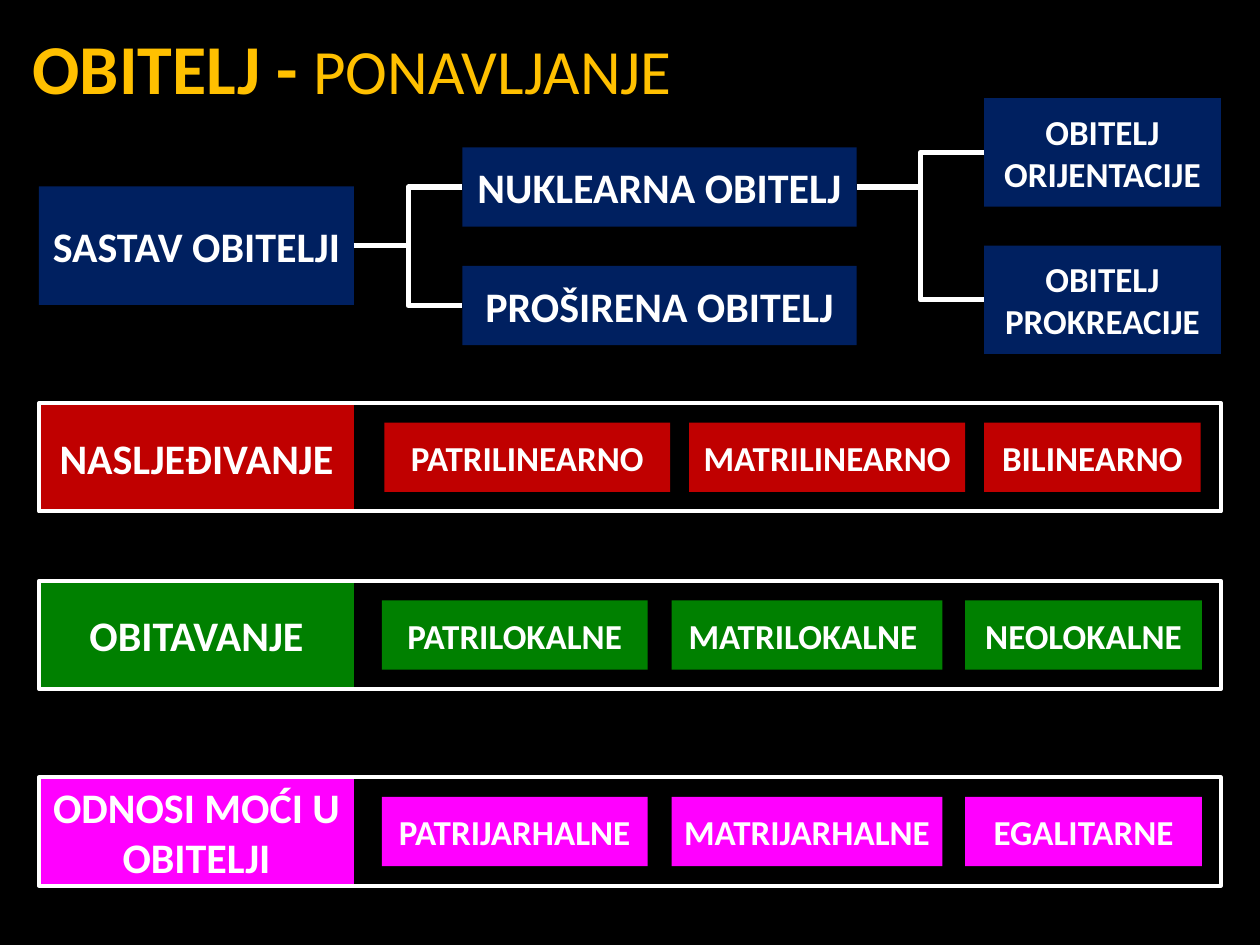
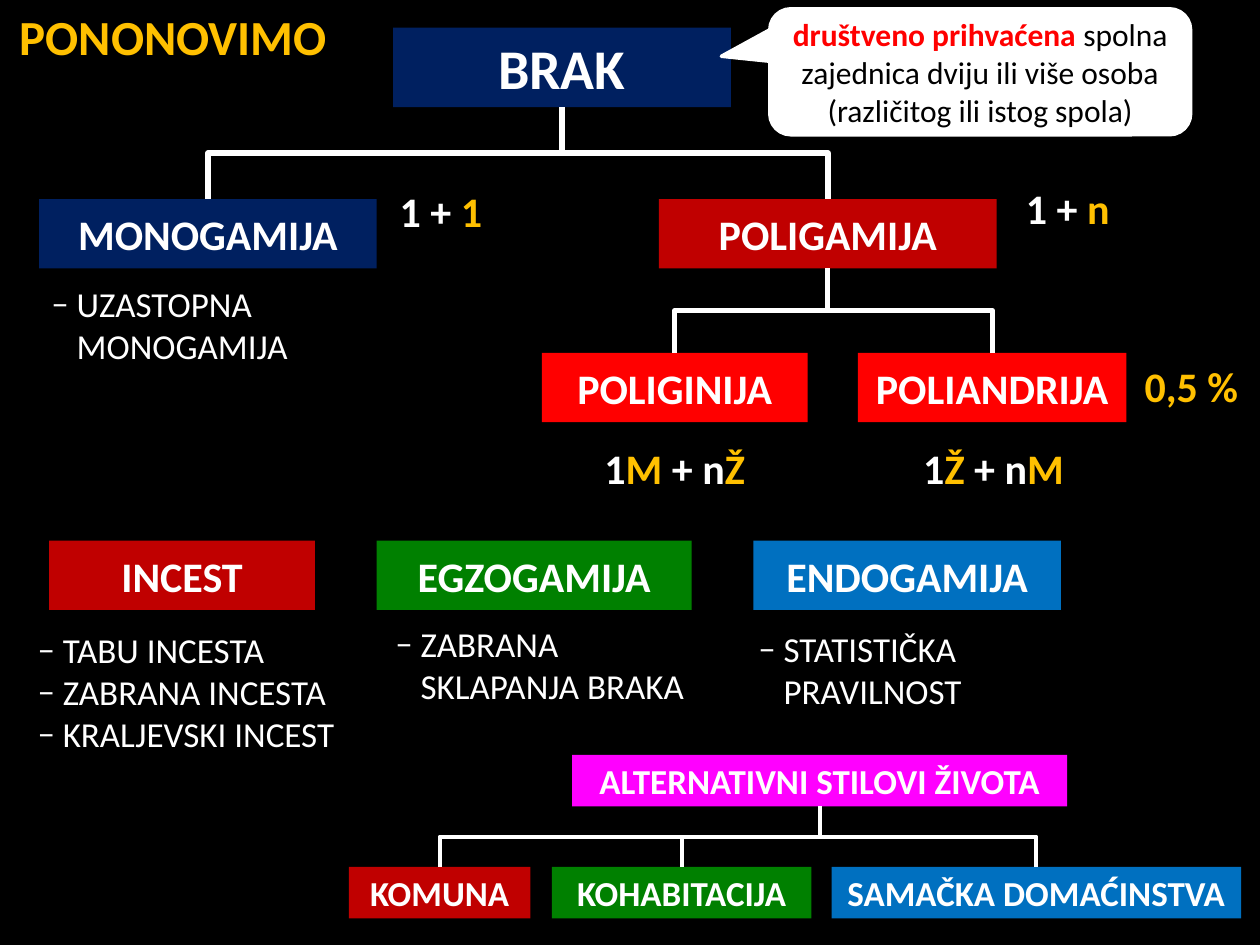
from dataclasses import dataclass

from lxml import etree
from pptx import Presentation
from pptx.dml.color import RGBColor
from pptx.enum.shapes import MSO_CONNECTOR, MSO_SHAPE
from pptx.enum.text import MSO_ANCHOR, MSO_AUTO_SIZE, PP_ALIGN
from pptx.oxml.ns import qn
from pptx.util import Inches, Pt

RECT = MSO_SHAPE.RECTANGLE
BUBBLE = MSO_SHAPE.ROUNDED_RECTANGULAR_CALLOUT
ELBOW = MSO_CONNECTOR.ELBOW
LEFT, CENTER = PP_ALIGN.LEFT, PP_ALIGN.CENTER
MIDDLE = MSO_ANCHOR.MIDDLE
GROW, FIXED = MSO_AUTO_SIZE.SHAPE_TO_FIT_TEXT, MSO_AUTO_SIZE.NONE
TOP_SITE, LEFT_SITE, BOTTOM_SITE, RIGHT_SITE = range(4)


@dataclass(frozen=True)
class Theme:
    font: str = "Calibri"
    black: str = "000000"
    white: str = "FFFFFF"
    gold: str = "FFC000"
    navy: str = "002060"
    blue: str = "0070C0"
    crimson: str = "C00000"
    red: str = "FF0000"
    green: str = "008000"
    pink: str = "FF00FF"
    title: int = 40
    sub: int = 36
    root: int = 32
    short: int = 28
    head: int = 24
    body: int = 20
    quote: int = 18


T = Theme()

# Slide 1: family tree, then one row per topic
FAMILY_TITLE = [("OBITELJ - ", T.gold, True), ("PONAVLJANJE", T.gold, False)]
FAMILY_BOXES = [  # text, (left, top, width, height), fill, size
    ("SASTAV OBITELJI", (0.31, 1.48, 2.5, 0.94), T.navy, T.head),
    ("NUKLEARNA OBITELJ", (3.67, 1.17, 3.13, 0.63), T.navy, T.head),
    ("PROŠIRENA OBITELJ", (3.67, 2.11, 3.13, 0.63), T.navy, T.head),
    ("OBITELJ ORIJENTACIJE", (7.81, 0.78, 1.88, 0.86), T.navy, T.body),
    ("OBITELJ PROKREACIJE", (7.81, 1.95, 1.88, 0.86), T.navy, T.body),
]
FAMILY_TREE = {
    "SASTAV OBITELJI": ["PROŠIRENA OBITELJ", "NUKLEARNA OBITELJ"],
    "NUKLEARNA OBITELJ": ["OBITELJ ORIJENTACIJE", "OBITELJ PROKREACIJE"],
}
WIDE = [(3.05, 2.27), (5.47, 2.19), (7.81, 1.72)]  # left, width of the chips
EVEN = [(3.03, 2.11), (5.33, 2.15), (7.66, 1.88)]
ROWS = [  # top, fill, label, chips, columns
    (3.2, T.crimson, "NASLJEĐIVANJE",
     ["PATRILINEARNO", "MATRILINEARNO ", "BILINEARNO"], WIDE),
    (4.61, T.green, "OBITAVANJE",
     ["PATRILOKALNE", "MATRILOKALNE ", "NEOLOKALNE"], EVEN),
    (6.17, T.pink, "ODNOSI MOĆI U OBITELJI",
     ["PATRIJARHALNE", "MATRIJARHALNE", "EGALITARNE"], EVEN),
]
ROW_LEFT, ROW_WIDE, ROW_HIGH = 0.31, 9.38, 0.86
LABEL_WIDE, CHIP_HIGH = 2.5, 0.55

# Slide 2: forms of marriage
UNION_TITLE = [("PONONOVIMO", T.gold, True)]
UNION_BOXES = [
    ("BRAK", (3.12, 0.22, 2.68, 0.63), T.navy, T.root),
    ("MONOGAMIJA", (0.31, 1.58, 2.68, 0.55), T.navy, T.head),
    ("POLIGAMIJA", (5.23, 1.58, 2.68, 0.55), T.crimson, T.head),
    ("POLIGINIJA", (4.3, 2.8, 2.11, 0.55), T.red, T.head),
    ("POLIANDRIJA", (6.81, 2.8, 2.13, 0.55), T.red, T.head),
    ("INCEST", (0.39, 4.29, 2.11, 0.55), T.crimson, T.head),
    ("EGZOGAMIJA", (2.99, 4.29, 2.5, 0.55), T.green, T.head),
    ("ENDOGAMIJA", (5.98, 4.29, 2.44, 0.55), T.blue, T.head),
    ("ALTERNATIVNI STILOVI ŽIVOTA", (4.54, 5.99, 3.93, 0.41), T.pink, T.body),
    ("KOMUNA", (2.77, 6.88, 1.44, 0.41), T.crimson, T.body),
    ("KOHABITACIJA", (4.38, 6.88, 2.06, 0.41), T.green, T.body),
    ("SAMAČKA DOMAĆINSTVA", (6.6, 6.88, 3.25, 0.41), T.blue, T.body),
]
UNION_TREE = {
    "BRAK": ["MONOGAMIJA", "POLIGAMIJA"],
    "POLIGAMIJA": ["POLIGINIJA", "POLIANDRIJA"],
}
STYLE_TREE = {
    "ALTERNATIVNI STILOVI ŽIVOTA":
        ["KOMUNA", "KOHABITACIJA", "SAMAČKA DOMAĆINSTVA"],
}
RATIOS = [  # (left, top, width, height), (text, colour) parts, wrap
    ((3.07, 1.42, 0.86, 0.5), [("1 + ", T.white), ("1", T.gold)], False),
    ((8.04, 1.4, 0.87, 0.5), [("1 + ", T.white), ("n", T.gold)], False),
    ((4.69, 3.46, 1.33, 0.5), [("1", T.white), ("M", T.gold),
                               (" + n", T.white), ("Ž", T.gold)], False),
    ((7.22, 3.46, 1.33, 0.5), [("1", T.white), ("Ž", T.gold),
                               (" + n", T.white), ("M", T.gold)], False),
    ((8.83, 2.81, 1.25, 0.5), [("0,5 %", T.gold)], True),
]
NOTES = [
    ((0.31, 2.19, 2.89, 0.77), ["UZASTOPNA MONOGAMIJA"]),
    ((0.2, 4.93, 2.97, 1.11),
     ["TABU INCESTA", "ZABRANA INCESTA", "KRALJEVSKI INCEST"]),
    ((3.04, 4.72, 2.7, 1.11), ["ZABRANA SKLAPANJA BRAKA"]),
    ((5.92, 4.93, 2.11, 0.77), ["STATISTIČKA PRAVILNOST"]),
]
QUOTE = [
    ("društveno prihvaćena ", T.red, True),
    ("spolna zajednica dviju ili više osoba (različitog ili istog spola)",
     T.black, False),
]


# Shared helpers
def rgb(code):
    return RGBColor.from_string(code)


def style(run, size, color, bold):
    font = run.font
    font.name, font.size, font.bold = T.font, Pt(size), bold
    font.color.rgb = rgb(color)


def write(frame, parts, size, align=CENTER):
    frame.vertical_anchor = MIDDLE
    para = frame.paragraphs[0]
    para.alignment = align
    for text, color, bold in parts:
        run = para.add_run()
        run.text = text
        style(run, size, color, bold)


def add_title(slide, spot, parts, size, align):
    title = slide.shapes.title
    title.left, title.top, title.width, title.height = map(Inches, spot)
    title.text_frame.auto_size = FIXED
    write(title.text_frame, parts, size, align)
    return title


def add_shape(slide, kind, spot, fill=None, line=None, width=0):
    shape = slide.shapes.add_shape(kind, *map(Inches, spot))
    shape.shadow.inherit = False
    if fill:
        shape.fill.solid()
        shape.fill.fore_color.rgb = rgb(fill)
    else:
        shape.fill.background()
    if line:
        shape.line.color.rgb = rgb(line)
        shape.line.width = Pt(width)
    else:
        shape.line.fill.background()
    return shape


def add_box(slide, text, spot, fill, size):
    box = add_shape(slide, RECT, spot, fill)
    write(box.text_frame, [(text, T.white, True)], size)
    return box


def add_text(slide, spot, wrap=True):
    frame = slide.shapes.add_textbox(*map(Inches, spot)).text_frame
    frame.word_wrap = wrap
    frame.auto_size = GROW
    frame.vertical_anchor = MIDDLE
    return frame


def link(slide, start, end, width, down):
    line = slide.shapes.add_connector(ELBOW, 0, 0, 0, 0)
    line.begin_connect(start, BOTTOM_SITE if down else RIGHT_SITE)
    line.end_connect(end, TOP_SITE if down else LEFT_SITE)
    line.line.color.rgb = rgb(T.white)
    line.line.width = Pt(width)
    props = line._element.spPr
    etree.SubElement(props, qn("a:effectLst"))
    if down:
        # A downward elbow is a sideways one turned by a quarter
        x, y, end_x, end_y = line.begin_x, line.begin_y, line.end_x, line.end_y
        wide, high = end_y - y, abs(end_x - x)
        line.left = (x + end_x - wide) // 2
        line.top = (y + end_y - high) // 2
        line.width, line.height = wide, high
        right = end_x > x
        frame = props.find(qn("a:xfrm"))
        frame.set("rot", str((270 if right else 90) * 60000))
        frame.set("flipH", "1" if right else "0")
        frame.set("flipV", "0")


def add_tree(slide, boxes, tree, width, down):
    for parent, kids in tree.items():
        for kid in kids:
            link(slide, boxes[parent], boxes[kid], width, down)


def add_boxes(slide, items):
    return {item[0]: add_box(slide, *item) for item in items}


def add_note(slide, spot, lines):
    frame = add_text(slide, spot)
    frame.text = "\n".join(lines)
    for para in frame.paragraphs:
        style(para.runs[0], T.body, T.white, False)
        props = para._p.get_or_add_pPr()
        props.set("marL", str(Inches(0.2)))
        props.set("indent", str(-Inches(0.2)))
        etree.SubElement(props, qn("a:buFont"), typeface=T.font)
        etree.SubElement(props, qn("a:buChar"), char="–")


# Slides
def build_family(slide):
    title = add_title(slide, (0.16, 0.05, 9.77, 0.95), FAMILY_TITLE,
                      T.title, LEFT)
    title.text_frame.paragraphs[0].runs[1].font.size = Pt(T.sub)
    boxes = add_boxes(slide, FAMILY_BOXES)
    add_tree(slide, boxes, FAMILY_TREE, 3, down=False)
    for top, fill, label, chips, columns in ROWS:
        add_box(slide, label, (ROW_LEFT, top, LABEL_WIDE, ROW_HIGH),
                fill, T.head)
        chip_top = top + (ROW_HIGH - CHIP_HIGH) / 2
        for chip, (left, wide) in zip(chips, columns):
            add_box(slide, chip, (left, chip_top, wide, CHIP_HIGH),
                    fill, T.body)
        add_shape(slide, RECT, (ROW_LEFT, top, ROW_WIDE, ROW_HIGH),
                  line=T.white, width=2.25)


def build_union(slide):
    add_title(slide, (-0.04, -0.01, 2.83, 0.59), UNION_TITLE, T.short, CENTER)
    boxes = add_boxes(slide, UNION_BOXES)
    add_tree(slide, boxes, UNION_TREE, 3, down=True)
    add_tree(slide, boxes, STYLE_TREE, 2.25, down=True)
    for spot, parts, wrap in RATIOS:
        write(add_text(slide, spot, wrap),
              [(text, color, True) for text, color in parts], T.head)
    for spot, lines in NOTES:
        add_note(slide, spot, lines)
    bubble = add_shape(slide, BUBBLE, (6.11, 0.07, 3.34, 1),
                       T.white, T.white, 2)
    for spot, value in enumerate((-0.615, -0.123, 0.167)):
        bubble.adjustments[spot] = value
    write(bubble.text_frame, QUOTE, T.quote)


def main():
    prs = Presentation()
    prs.slide_width, prs.slide_height = Inches(10), Inches(7.5)
    back = prs.slide_master.background.fill
    back.solid()
    back.fore_color.rgb = rgb(T.black)
    for build in (build_family, build_union):
        build(prs.slides.add_slide(prs.slide_layouts[5]))
    prs.save("out.pptx")


if __name__ == "__main__":
    main()
